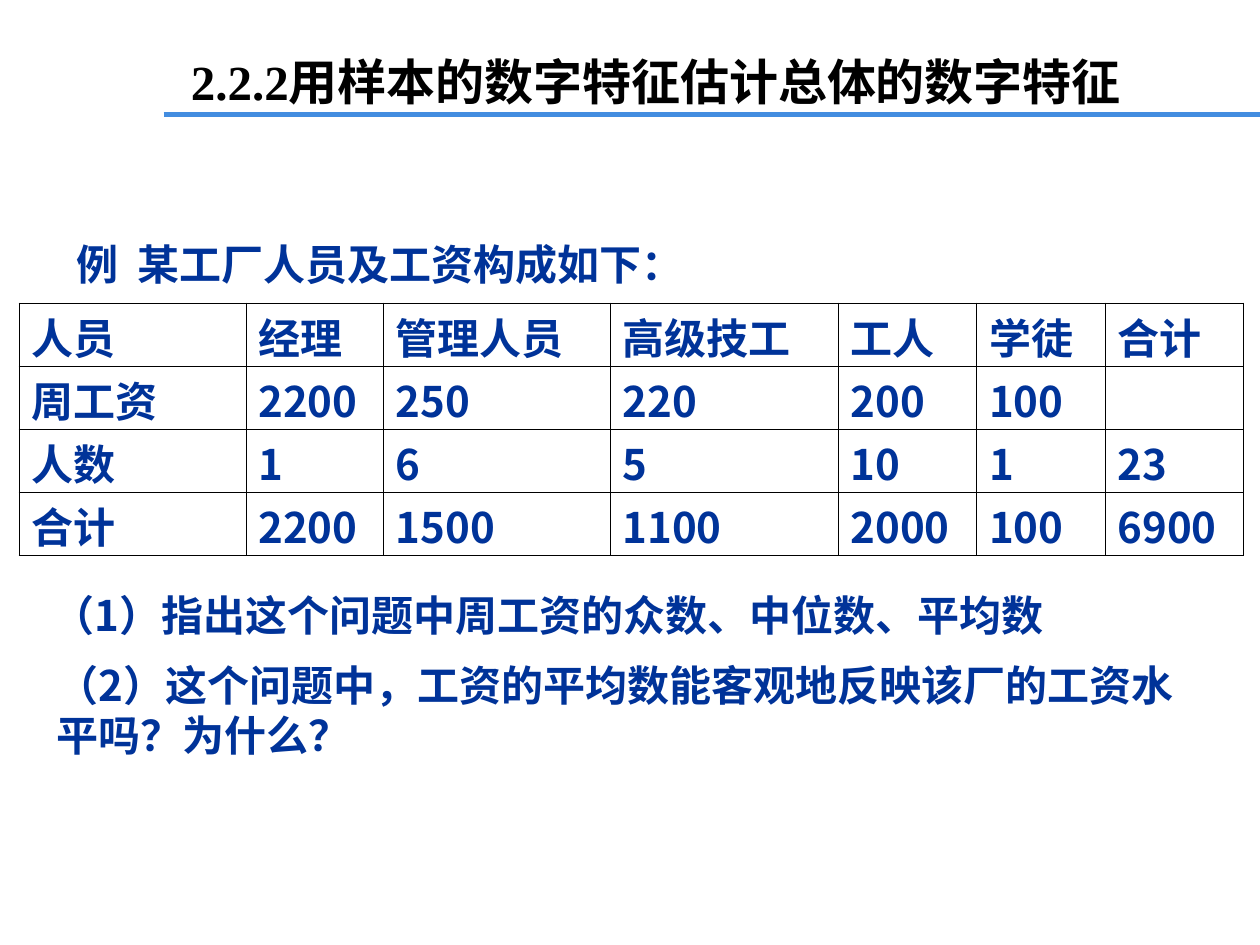
from dataclasses import dataclass

from lxml import etree
from pptx import Presentation
from pptx import util as u
from pptx.dml.color import RGBColor
from pptx.enum import shapes, text
from pptx.oxml import ns


@dataclass(frozen=True)
class Theme:
    black: str = "000000"
    blue: str = "003399"
    rule: str = "438DE0"
    title_size: int = 28
    body_size: int = 24
    rule_width: float = 3
    inner_border: float = 0.45
    outer_border: float = 1.08
    latin: str = "Times New Roman"
    cjk: str = "Noto Sans CJK SC"
    leading: float = 1.2


THEME = Theme()
TITLE = dict(size=THEME.title_size, name=THEME.latin, color=THEME.black)
BODY = dict(size=THEME.body_size, name=THEME.cjk, color=THEME.blue)

STAFF = [
    ["人员", "经理", "管理人员", "高级技工", "工人", "学徒", "合计"],
    ["周工资", "2200", "250", "220", "200", "100", ""],
    ["人数", "1", "6", "5", "10", "1", "23"],
    ["合计", "2200", "1500", "1100", "2000", "100", "6900"],
]
COLUMNS = [4.57, 2.77, 4.57, 4.6, 2.79, 2.59, 2.79]
ROW = 1.27


def set_all(obj, values):
    for name, value in values.items():
        setattr(obj, name, value)


def sub(parent, tag, **attrs):
    return etree.SubElement(parent, ns.qn(tag), attrs)


def write(p, words, style, tab=None):
    p.line_spacing = u.Pt(style["size"] * THEME.leading)
    if tab:
        stops = sub(p._p.get_or_add_pPr(), "a:tabLst")
        sub(stops, "a:tab", pos=str(u.Cm(tab)), algn="l")
    r = p.add_run()
    r.text = words
    set_all(r.font, dict(size=u.Pt(style["size"]), name=style["name"], bold=True))
    r.font.color.rgb = RGBColor.from_string(style["color"])
    sub(r._r.get_or_add_rPr(), "a:ea", typeface=THEME.cjk)


def add_text(s, words, box, style, tab=None, left=0.25):
    tf = s.shapes.add_textbox(*map(u.Cm, box)).text_frame
    set_all(tf, dict(word_wrap=True, auto_size=text.MSO_AUTO_SIZE.SHAPE_TO_FIT_TEXT,
                     margin_left=u.Cm(left), margin_right=u.Cm(0.25),
                     margin_top=u.Cm(0.16), margin_bottom=u.Cm(0.1)))
    write(tf.paragraphs[0], words, style, tab)


def add_rule(s, x1, x2, y):
    line = s.shapes.add_connector(shapes.MSO_CONNECTOR.STRAIGHT,
                                  u.Cm(x1), u.Cm(y), u.Cm(x2), u.Cm(y))
    line.line.color.rgb = RGBColor.from_string(THEME.rule)
    line.line.width = u.Pt(THEME.rule_width)
    sub(line._element.spPr, "a:effectLst")


def border(cell, outer):
    tcPr = cell._tc.get_or_add_tcPr()
    for side, is_outer in outer.items():
        width = THEME.outer_border if is_outer else THEME.inner_border
        ln = sub(tcPr, f"a:ln{side}", w=str(u.Pt(width)))
        sub(sub(ln, "a:solidFill"), "a:srgbClr", val=THEME.black)
    cell.fill.background()


def add_table(s, rows, columns, left, top):
    frame = s.shapes.add_table(len(rows), len(columns), u.Cm(left), u.Cm(top),
                               u.Cm(sum(columns)), u.Cm(ROW * len(rows)))
    table = frame.table
    set_all(table, dict(first_row=False, horz_banding=False))
    for column, width in zip(table.columns, columns):
        column.width = u.Cm(width)
    for i, row in enumerate(rows):
        table.rows[i].height = u.Cm(ROW)
        for j, words in enumerate(row):
            cell = table.cell(i, j)
            set_all(cell, dict(margin_left=u.Cm(0.25), margin_right=u.Cm(0.25),
                               margin_top=0, margin_bottom=0,
                               vertical_anchor=text.MSO_ANCHOR.BOTTOM))
            border(cell, dict(L=j == 0, R=j == len(row) - 1,
                              T=i == 0, B=i == len(rows) - 1))
            if words:
                write(cell.text_frame.paragraphs[0], words, BODY)


def main():
    prs = Presentation()
    set_all(prs, dict(slide_width=u.Cm(25.4), slide_height=u.Cm(19.05)))
    s = prs.slides.add_slide(prs.slide_layouts[6])
    add_text(s, "2.2.2用样本的数字特征估计总体的数字特征",
             (3.1, 0.89, 20.6, 1.45), TITLE, left=0.75)
    add_rule(s, 3.3, 25.4, 2.31)
    add_text(s, "例\t某工厂人员及工资构成如下：", (1.3, 4.65, 20.6, 1.27), BODY, tab=1.23)
    add_table(s, STAFF, COLUMNS, 0.39, 6.12)
    add_text(s, "（1）指出这个问题中周工资的众数、中位数、平均数",
             (0.81, 11.73, 23.01, 1.27), BODY)
    add_text(s, "（2）这个问题中，工资的平均数能客观地反映该厂的工资水平吗？为什么？",
             (0.89, 13.13, 23.39, 2.29), BODY)
    prs.save("out.pptx")


if __name__ == "__main__":
    main()
